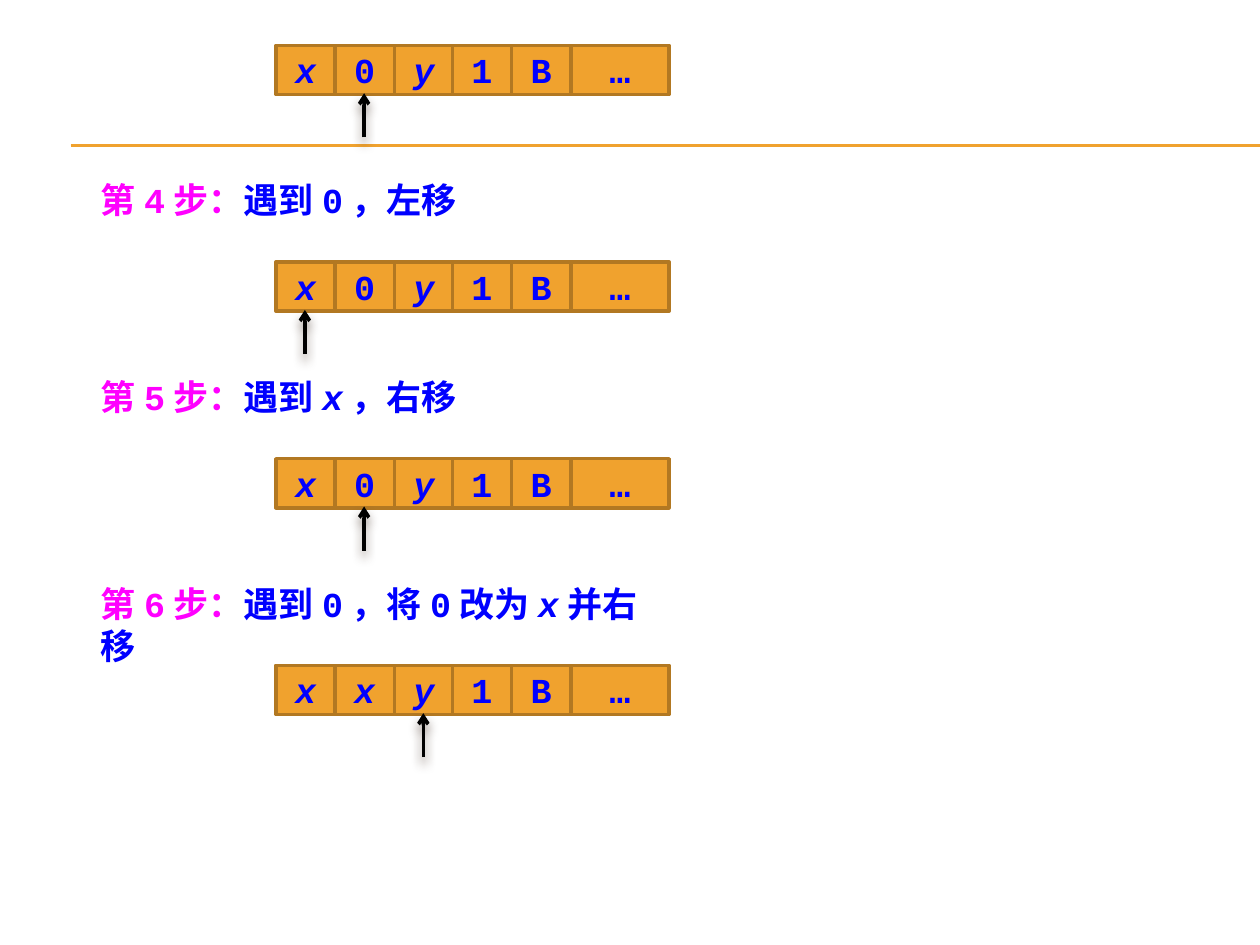
from dataclasses import dataclass
from itertools import groupby

from lxml.etree import SubElement
from pptx import Presentation
from pptx.dml.color import RGBColor
from pptx.enum.shapes import MSO_CONNECTOR as CONN, MSO_SHAPE as SHAPE
from pptx.enum.text import MSO_ANCHOR as ANCHOR, PP_ALIGN as ALIGN
from pptx.oxml.ns import qn
from pptx.util import Pt

PX = 9144  # 100 px to the inch
VARIABLES = "xy"


@dataclass(frozen=True)
class Theme:
    font: str = "Courier New"
    size: int = 20
    step: str = "FF00FF"
    text: str = "0000FF"
    cell: str = "F0A22E"
    border: str = "B27822"
    arrow: str = "000000"
    shadow: str = "4E3B30"
    rule_width: float = 0.75
    line_width: int = 2


THEME = Theme()


def px(*lengths):
    return [n * PX for n in lengths]


def rgb(color):
    return RGBColor.from_string(color)


def add_text(p, text, *, color=THEME.text, size=THEME.size, bold=True):
    """Append text to a paragraph, with tape variables in italics."""
    for italic, chars in groupby(text, key=lambda ch: ch in VARIABLES):
        r = p.add_run()
        r.text = "".join(chars)
        r.font.name = THEME.font
        r.font.size = Pt(size)
        r.font.bold = bold
        r.font.italic = italic
        r.font.color.rgb = rgb(color)


def add_line(shapes, x1, y1, x2, y2, *, color, width):
    """Draw a straight line and return it with its empty effect list."""
    s = shapes.add_connector(CONN.STRAIGHT, *px(x1, y1, x2, y2))
    s.line.color.rgb = rgb(color)
    s.line.width = Pt(width)
    return s, SubElement(s._element.spPr, qn("a:effectLst"))


def add_head(shapes, x, y, height):
    """Draw the machine's head: an arrow pointing up to (x, y)."""
    s, effects = add_line(shapes, x, y + height, x, y,
                          color=THEME.arrow, width=THEME.line_width)
    SubElement(s.line._get_or_add_ln(), qn("a:tailEnd"), type="arrow")
    shadow = SubElement(effects, qn("a:outerShdw"), blurRad=str(Pt(6)),
                        dist=str(Pt(4)), dir="5400000", rotWithShape="0")
    color = SubElement(shadow, qn("a:srgbClr"), val=THEME.shadow)
    SubElement(color, qn("a:alpha"), val="60000")


def add_cell(shapes, x, y, w, h, symbol):
    s = shapes.add_shape(SHAPE.RECTANGLE, *px(x, y, w, h))
    s.shadow.inherit = False
    s.fill.solid()
    s.fill.fore_color.rgb = rgb(THEME.cell)
    s.line.color.rgb = rgb(THEME.border)
    s.line.width = Pt(THEME.line_width)
    tf = s.text_frame
    tf.word_wrap = True
    tf.vertical_anchor = ANCHOR.MIDDLE
    p = tf.paragraphs[0]
    p.alignment = ALIGN.CENTER
    add_text(p, symbol)


def add_tape(shapes, x, y, w, h, symbols, head):
    """Draw a tape whose last cell is wider, with the head under one cell."""
    last_w = w // 4
    cell_w = (w - last_w) / (len(symbols) - 1)
    for i, symbol in enumerate(symbols):
        width = last_w if i == len(symbols) - 1 else round(cell_w)
        add_cell(shapes, x + round(i * cell_w), y, width, h, symbol)
    add_head(shapes, x + round((head + 0.5) * cell_w), y + h - 1, 35)


def add_label(shapes, x, y, w, h, step, action):
    s = shapes.add_textbox(*px(x, y, w, h))
    tf = s.text_frame
    tf.word_wrap = True
    p = tf.paragraphs[0]
    add_text(p, f"第{step}步：", color=THEME.step)
    add_text(p, action)


def add_step(slide, x, y, w, h, step, action, symbols, head):
    shapes = slide.shapes.add_group_shape().shapes
    add_label(shapes, x, y, w - 8, 44, step, action)
    add_tape(shapes, x + 149, y + h - 39, w - 149, 39, symbols, head)


def add_title_rule(slide, x, y, w):
    for offset in (0, 1):
        add_line(slide.shapes, x, y + offset, x + w, y + offset,
                 color=THEME.cell, width=THEME.rule_width)


def main():
    prs = Presentation()
    prs.slide_width, prs.slide_height = px(1000, 750)
    slide = prs.slides.add_slide(prs.slide_layouts[6])

    add_title_rule(slide, 56, 115, 944)
    steps = [
        (137, 4, "遇到0，左移", "x0y1B…", 0),
        (293, 5, "遇到x，右移", "x0y1B…", 1),
        (457, 6, "遇到0，将0改为x并右移", "xxy1B…", 2),
    ]
    for y, *content in steps:
        add_step(slide, 70, y, 461, 110, *content)
    add_tape(slide.shapes.add_group_shape().shapes, 219, 36, 312, 39, "x0y1B…", 1)
    prs.save("out.pptx")


if __name__ == "__main__":
    main()
